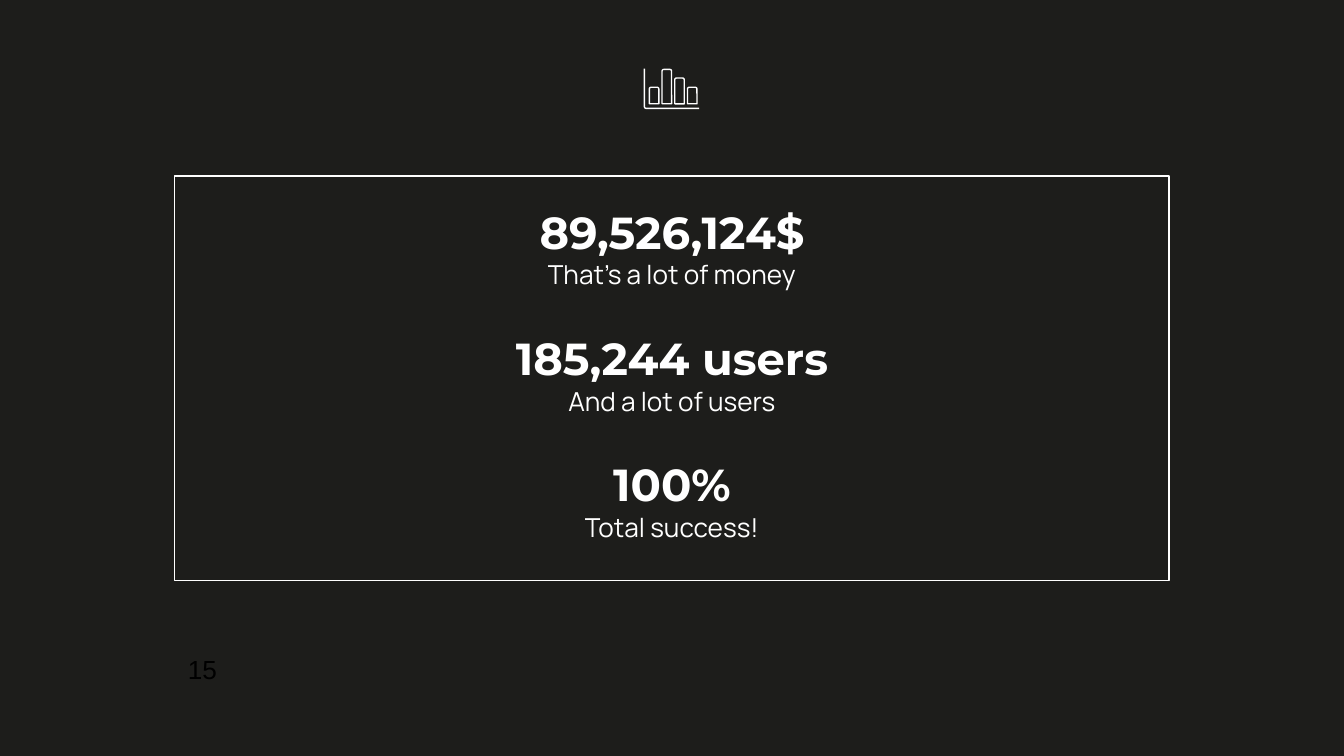
from pptx import Presentation
from pptx.dml.color import RGBColor
from pptx.enum.shapes import MSO_SHAPE
from pptx.enum.text import MSO_ANCHOR, MSO_AUTO_SIZE, PP_ALIGN
from pptx.util import Pt

DARK = RGBColor(0x1D, 0x1D, 0x1B)
WHITE = RGBColor(0xFF, 0xFF, 0xFF)
BLACK = RGBColor(0, 0, 0)

LEFT, WIDTH = 93.6, 532.8


def put_text(box, text, top, height, width=WIDTH, font="Manrope", size=14,
             bold=False, color=WHITE, align=PP_ALIGN.CENTER,
             anchor=MSO_ANCHOR.TOP, spacing=1.0, before=0):
    box.left, box.top = Pt(LEFT), Pt(top)
    box.width, box.height = Pt(width), Pt(height)
    frame = box.text_frame
    frame.word_wrap = True
    frame.auto_size = MSO_AUTO_SIZE.NONE
    frame.vertical_anchor = anchor
    frame.margin_left = frame.margin_right = Pt(7.2)
    frame.margin_top = frame.margin_bottom = Pt(7.2)
    par = frame.paragraphs[0]
    par.alignment = align
    par.line_spacing = spacing
    par.space_before = Pt(before)
    run = par.add_run()
    run.text = text
    run.font.name = font
    run.font.size = Pt(size)
    run.font.bold = bold
    run.font.color.rgb = color


def outline(shape):
    """Leave only a thin white line around the shape."""
    shape.shadow.inherit = False
    shape.fill.background()
    shape.line.color.rgb = WHITE
    shape.line.width = Pt(0.75)


deck = Presentation()
deck.slide_width, deck.slide_height = Pt(720), Pt(405)
slide = deck.slides.add_slide(deck.slide_layouts[0])
slide.background.fill.solid()
slide.background.fill.fore_color.rgb = DARK
shapes = slide.shapes

# Frame, behind the text
frame = shapes.add_shape(MSO_SHAPE.RECTANGLE, Pt(LEFT), Pt(94.2),
                         Pt(WIDTH), Pt(216.7))
outline(frame)
shapes[0]._element.addprevious(frame._element)

# Big numbers, each with a caption
facts = [
    ("89,526,124$", "That’s a lot of money"),
    ("185,244 users", "And a lot of users"),
    ("100%", "Total success!"),
]
for row, (number, caption) in enumerate(facts):
    if row == 0:
        head, sub = shapes.title, slide.placeholders[1]
    else:
        head, sub = (shapes.add_textbox(0, 0, 0, 0) for _ in range(2))
    top = 74.9 + row * 67.6
    put_text(head, number, top, 70.6, font="Montserrat", size=24, bold=True,
             anchor=MSO_ANCHOR.BOTTOM)
    put_text(sub, caption, top + 54, 36.7, spacing=1.15, before=6)

# Bar chart icon
icon = shapes.add_group_shape().shapes
pen = icon.build_freeform(Pt(345.2), Pt(36.8))
corner = [(345.2, 57.3), (345.5, 57.9), (346.1, 58.1), (374.6, 58.1)]
pen.add_line_segments([(Pt(x), Pt(y)) for x, y in corner], close=False)
outline(pen.convert_to_shape())

base = 55.6
for col, tall in enumerate([8.8, 18.4, 13.8, 8.8]):
    bar = icon.add_shape(MSO_SHAPE.ROUND_2_SAME_RECTANGLE,
                         Pt(347.9 + col * 6.8), Pt(base - tall),
                         Pt(5.1), Pt(tall))
    outline(bar)

# Page number
page = shapes.add_textbox(0, 0, 0, 0)
put_text(page, "15", 343, 31, width=60, font="Arial", color=BLACK,
         align=PP_ALIGN.LEFT, anchor=MSO_ANCHOR.MIDDLE)

deck.save("out.pptx")
